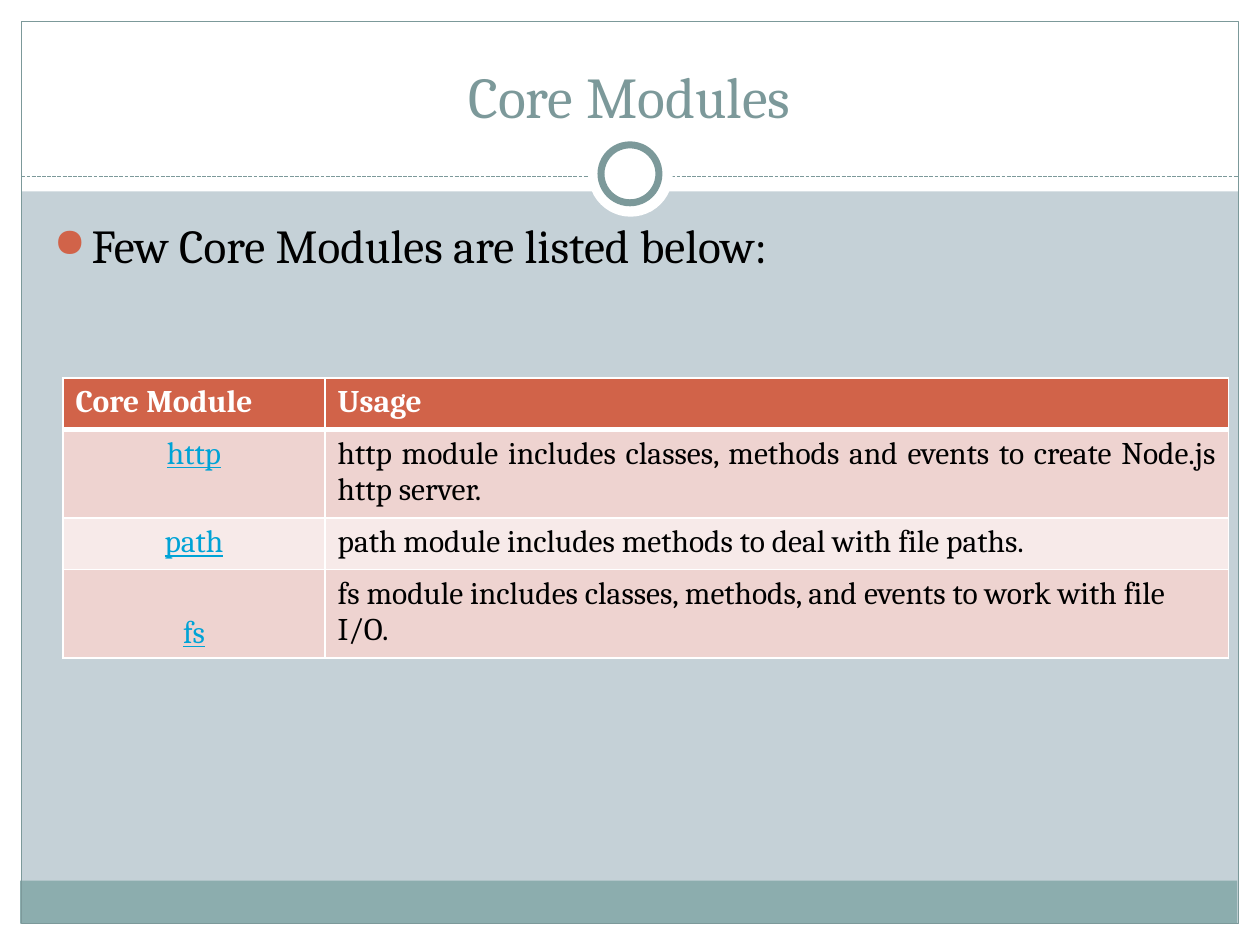
import pptx
import pptx.util
import pptx.dml.color
import pptx.enum.dml
import pptx.enum.shapes
import pptx.enum.text
import pptx.oxml
import pptx.oxml.ns
import lxml.etree

Inches = pptx.util.Inches
Pt = pptx.util.Pt
RGBColor = pptx.dml.color.RGBColor
SHAPE = pptx.enum.shapes.MSO_SHAPE
ALIGN = pptx.enum.text.PP_ALIGN
ANCHOR = pptx.enum.text.MSO_ANCHOR
qn = pptx.oxml.ns.qn

BACKGROUND = RGBColor(0xC5, 0xD1, 0xD7)
WHITE = RGBColor(0xFF, 0xFF, 0xFF)
BLACK = RGBColor(0, 0, 0)
TEAL = RGBColor(0x7C, 0x99, 0x9A)
FOOTER = RGBColor(0x8C, 0xAD, 0xAE)
ACCENT = RGBColor(0xD1, 0x63, 0x49)
LINK = RGBColor(0x00, 0xA3, 0xD6)
BAND_DARK = RGBColor(0xEE, 0xD3, 0xD0)
BAND_LIGHT = RGBColor(0xF7, 0xEA, 0xE9)

FONT = "Cambria"
MARGIN = 0.17
MODULES = [
    ("http", "http module includes classes, methods and events to create "
             "Node.js http server."),
    ("path", "path module includes methods to deal with file paths."),
    ("fs", "fs module includes classes, methods, and events to work with "
           "file I/O."),
]
COLUMN_WIDTHS = [2.08, 7.17]
ROW_HEIGHTS = [0.41, 0.68, 0.41, 0.68]


def write(frame, text, color, align=ALIGN.LEFT, **font_format):
    paragraph = frame.paragraphs[0]
    paragraph.alignment = align
    run = paragraph.add_run()
    run.text = text
    run.font.color.rgb = color
    for name, value in {"name": FONT, **font_format}.items():
        setattr(run.font, name, value)
    return paragraph


def add_panel(slide, kind, box, fill=None, line=None, width=0.75):
    panel = slide.shapes.add_shape(kind, *map(Inches, box))
    panel.shadow.inherit = False
    if fill is None:
        panel.fill.background()
    else:
        panel.fill.solid()
        panel.fill.fore_color.rgb = fill
    if line is None:
        panel.line.fill.background()
    else:
        panel.line.color.rgb = line
        panel.line.width = Pt(width)


def add_divider(slide, y):
    divider = slide.shapes.add_connector(
        pptx.enum.shapes.MSO_CONNECTOR.STRAIGHT,
        Inches(MARGIN), Inches(y), Inches(10 - MARGIN), Inches(y))
    divider.line.color.rgb = TEAL
    divider.line.width = Pt(0.75)
    divider.line.dash_style = pptx.enum.dml.MSO_LINE.SQUARE_DOT
    lxml.etree.SubElement(divider._element.spPr, qn("a:effectLst"))


def add_frame(slide):
    """Draw the white margins, the footer band and the ring under the title."""
    for box in [(0, 7.33, 10, MARGIN), (0, 0, 10, 1.52),
                (0, 0, MARGIN, 7.5), (10 - MARGIN, 0, MARGIN, 7.5)]:
        add_panel(slide, SHAPE.RECTANGLE, box, WHITE)
    add_panel(slide, SHAPE.RECTANGLE, (0.16, 6.99, 9.66, 0.34), FOOTER)
    add_panel(slide, SHAPE.RECTANGLE, (MARGIN, MARGIN, 9.66, 7.16), line=TEAL)
    add_divider(slide, 1.4)
    add_panel(slide, SHAPE.OVAL, (4.67, 1.05, 0.67, 0.67), WHITE)
    add_panel(slide, SHAPE.OVAL, (4.77, 1.15, 0.46, 0.46), WHITE, TEAL, 4)


def add_title(slide, text):
    title = slide.shapes.title
    place = {"left": 0.33, "top": 0.25, "width": 9.33, "height": 0.83}
    for name, value in place.items():
        setattr(title, name, Inches(value))
    title.text_frame.vertical_anchor = ANCHOR.BOTTOM
    write(title.text_frame, text, TEAL, ALIGN.CENTER, size=Pt(33))
    # The placeholder comes first in the tree, so lift it above the panels.
    slide.shapes._spTree.append(title._element)


def add_bullet(slide, text):
    box = slide.shapes.add_textbox(*map(Inches, (0.33, 1.67, 9.3, 5)))
    box.text_frame.word_wrap = True
    paragraph = write(box.text_frame, text, BLACK, size=Pt(27))
    properties = paragraph._p.get_or_add_pPr()
    properties.set("marL", str(Inches(0.3)))
    properties.set("indent", str(Inches(-0.3)))
    color = lxml.etree.SubElement(properties, qn("a:buClr"))
    lxml.etree.SubElement(color, qn("a:srgbClr"), val=str(ACCENT))
    lxml.etree.SubElement(properties, qn("a:buSzPct"), val="85000")
    lxml.etree.SubElement(properties, qn("a:buChar"), char="●")


def set_borders(cell, top=1, bottom=1):
    properties = cell._tc.get_or_add_tcPr()
    widths = {"lnL": 1, "lnR": 1, "lnT": top, "lnB": bottom}
    for position, (side, width) in enumerate(widths.items()):
        border = pptx.oxml.parse_xml(
            f'<a:{side} {pptx.oxml.ns.nsdecls("a")} w="{Pt(width)}">'
            f'<a:solidFill><a:srgbClr val="{WHITE}"/></a:solidFill>'
            f'</a:{side}>')
        properties.insert(position, border)


def fill_cell(cell, text, fill, color, align=ALIGN.LEFT, **font_format):
    cell.fill.solid()
    cell.fill.fore_color.rgb = fill
    write(cell.text_frame, text, color, align, size=Pt(18), **font_format)


def add_module_table(slide):
    table = slide.shapes.add_table(
        len(ROW_HEIGHTS), len(COLUMN_WIDTHS), Inches(0.5), Inches(3),
        Inches(sum(COLUMN_WIDTHS)), Inches(sum(ROW_HEIGHTS))).table
    for column, width in zip(table.columns, COLUMN_WIDTHS):
        column.width = Inches(width)
    for row, height in zip(table.rows, ROW_HEIGHTS):
        row.height = Inches(height)

    for cell, heading in zip(table.rows[0].cells, ["Core Module", "Usage"]):
        fill_cell(cell, heading, ACCENT, WHITE, bold=True)
        set_borders(cell, bottom=3)
    for number, (module, usage) in enumerate(MODULES, start=1):
        band = BAND_DARK if number % 2 else BAND_LIGHT
        name_cell, usage_cell = table.rows[number].cells
        fill_cell(name_cell, module, band, LINK, ALIGN.CENTER,
                  bold=False, underline=True)
        usage_align = ALIGN.JUSTIFY if number == 1 else ALIGN.LEFT
        fill_cell(usage_cell, usage, band, BLACK, usage_align, bold=False)
        for cell in (name_cell, usage_cell):
            set_borders(cell, top=3 if number == 1 else 1)
    table.cell(len(MODULES), 0).vertical_anchor = ANCHOR.BOTTOM


def main():
    deck = pptx.Presentation()
    deck.slide_width, deck.slide_height = Inches(10), Inches(7.5)
    slide = deck.slides.add_slide(deck.slide_layouts.get_by_name("Title Only"))
    slide.background.fill.solid()
    slide.background.fill.fore_color.rgb = BACKGROUND
    add_frame(slide)
    add_title(slide, "Core Modules")
    add_bullet(slide, "Few Core Modules are listed below:")
    add_module_table(slide)
    deck.save("out.pptx")


if __name__ == "__main__":
    main()
